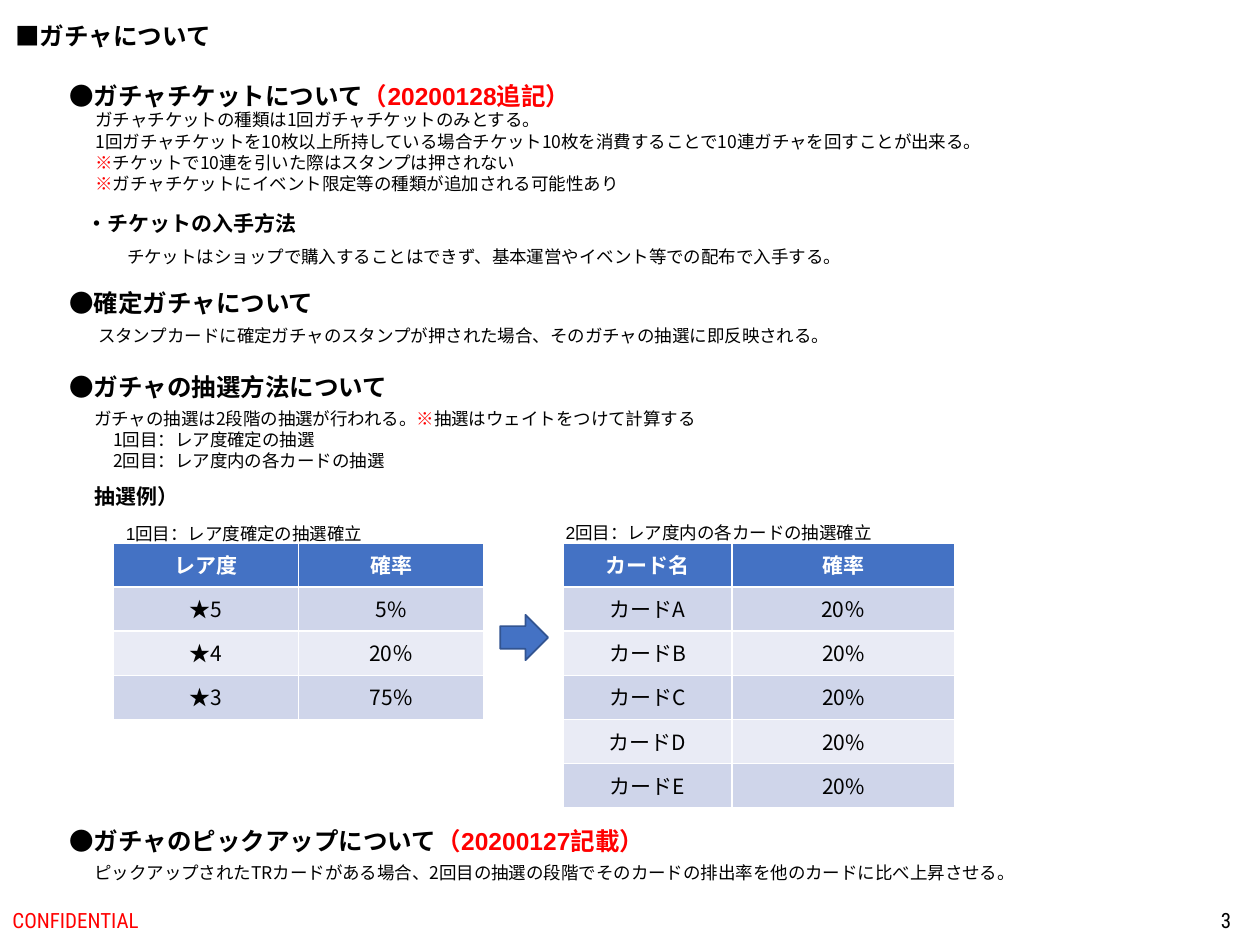
"""Builds a slide on gacha tickets, draw steps and draw odds."""
from lxml import etree
from pptx import Presentation
from pptx.dml.color import RGBColor
from pptx.enum.shapes import MSO_SHAPE
from pptx.enum.text import MSO_ANCHOR, MSO_AUTO_SIZE, PP_ALIGN
from pptx.oxml.ns import qn
from pptx.util import Inches, Pt

ARROW = MSO_SHAPE.RIGHT_ARROW
TOP, MIDDLE = MSO_ANCHOR.TOP, MSO_ANCHOR.MIDDLE
FIT = MSO_AUTO_SIZE.SHAPE_TO_FIT_TEXT
LEFT, CENTER, RIGHT = PP_ALIGN.LEFT, PP_ALIGN.CENTER, PP_ALIGN.RIGHT

BLACK = RGBColor(0x00, 0x00, 0x00)
WHITE = RGBColor(0xFF, 0xFF, 0xFF)
RED = RGBColor(0xFF, 0x00, 0x00)
BLUE = RGBColor(0x44, 0x72, 0xC4)
NAVY = RGBColor(0x32, 0x54, 0x91)
DARK = RGBColor(0xCF, 0xD5, 0xEA)
PALE = RGBColor(0xE9, 0xEB, 0xF5)

SANS, NOTO, THIN = "Arial", "Noto Sans CJK JP", "Roboto Condensed"
HEAD = {"size": Pt(14), "bold": True, "name": SANS}
SUB = {"size": Pt(12), "bold": True, "name": SANS}
BODY = {"size": Pt(10), "bold": False, "name": SANS}
NOTE = {**BODY, "name": NOTO}
FOOT = {"size": Pt(12), "bold": False, "name": THIN}
CELL = {"size": Pt(12), "bold": False, "name": NOTO}
ROW = 0.35


class Page:
    """Holds the slide and draws each kind of element in one style."""

    def __init__(self, slide):
        self.slide = slide

    def fill_para(self, para, runs, style, color=BLACK, align=LEFT):
        para.alignment = align
        for part in [runs] if isinstance(runs, str) else runs:
            text, tint = (part, color) if isinstance(part, str) else part
            run = para.add_run()
            run.text = text
            for key, value in style.items():
                setattr(run.font, key, value)
            run.font.color.rgb = tint
            face = etree.SubElement(run.font._element, qn("a:ea"))
            face.set("typeface", NOTO)

    def title(self, text, box):
        shape = self.slide.shapes.title
        for key, value in zip(("left", "top", "width", "height"), box):
            setattr(shape, key, Inches(value))
        frame = shape.text_frame
        frame.word_wrap, frame.auto_size = False, FIT
        frame.vertical_anchor = TOP
        self.fill_para(frame.paragraphs[0], text, HEAD)

    def text(self, box, lines, style, color=BLACK, align=LEFT,
             wrap=False, anchor=TOP, indent=0):
        shape = self.slide.shapes.add_textbox(*map(Inches, box))
        frame = shape.text_frame
        frame.word_wrap, frame.vertical_anchor = wrap, anchor
        if anchor == TOP:
            frame.auto_size = FIT
        for i, runs in enumerate(lines):
            para = frame.add_paragraph() if i else frame.paragraphs[0]
            if i and indent:
                para._p.get_or_add_pPr().set("marL", str(Inches(indent)))
            self.fill_para(para, runs, style, color, align)

    def table(self, left, top, widths, rows):
        box = (left, top, sum(widths), ROW * len(rows))
        grid = self.slide.shapes.add_table(
            len(rows), len(widths), *map(Inches, box)).table
        for col, width in zip(grid.columns, widths):
            col.width = Inches(width)
        for i, row in enumerate(rows):
            grid.rows[i].height = Inches(ROW)
            fill = (DARK if i % 2 else PALE) if i else BLUE
            style = {**CELL, "bold": i == 0}
            for j, text in enumerate(row):
                cell = grid.cell(i, j)
                cell.fill.solid()
                cell.fill.fore_color.rgb = fill
                self.fill_para(cell.text_frame.paragraphs[0], text, style,
                               BLACK if i else WHITE, CENTER)

    def arrow(self, box):
        shape = self.slide.shapes.add_shape(ARROW, *map(Inches, box))
        shape.shadow.inherit = False
        shape.fill.solid()
        shape.fill.fore_color.rgb = BLUE
        shape.line.color.rgb = NAVY
        shape.line.width = Pt(1)


def main():
    deck = Presentation()
    deck.slide_width, deck.slide_height = Inches(10), Inches(7.5)
    page = Page(deck.slides.add_slide(deck.slide_layouts[5]))
    page.title("■ガチャについて", (0.02, 0.12, 1.77, 0.34))

    heads = [
        (0.59, 4.41, ["●ガチャチケットについて", ("（20200128追記）", RED)]),
        (2.24, 2.17, "●確定ガチャについて"),
        (2.9, 2.75, "●ガチャの抽選方法について"),
        (6.51, 5.19, ["●ガチャのピックアップについて", ("（20200127記載）", RED)]),
    ]
    for top, width, runs in heads:
        page.text((0.45, top, width, 0.34), [runs], HEAD)

    mark = ("※", RED)
    page.text((0.66, 0.82, 7.41, 0.77), [
        "ガチャチケットの種類は1回ガチャチケットのみとする。",
        "1回ガチャチケットを10枚以上所持している場合チケット10枚を消費することで10連ガチャを回すことが出来る。",
        [mark, "チケットで10連を引いた際はスタンプは押されない"],
        [mark, "ガチャチケットにイベント限定等の種類が追加される可能性あり"],
    ], NOTE)
    page.text((0.65, 3.19, 8.59, 0.61), [
        ["ガチャの抽選は2段階の抽選が行われる。", mark, "抽選はウェイトをつけて計算する"],
        "1回目：レア度確定の抽選",
        "2回目：レア度内の各カードの抽選",
    ], NOTE, wrap=True, indent=0.15)
    page.text((0.65, 6.79, 8.59, 0.44), [
        "ピックアップされたTRカードがある場合、2回目の抽選の段階でそのカードの排出率を他のカードに比べ上昇させる。",
    ], NOTE, wrap=True)

    lines = [
        ((0.59, 1.62, 1.88, 0.3), SUB, "・チケットの入手方法"),
        ((0.91, 1.9, 5.95, 0.27), BODY,
         "チケットはショップで購入することはできず、基本運営やイベント等での配布で入手する。"),
        ((0.68, 2.53, 6.09, 0.44), BODY,
         "スタンプカードに確定ガチャのスタンプが押された場合、そのガチャの抽選に即反映される。"),
        ((0.65, 3.79, 0.88, 0.3), SUB, "抽選例）"),
        ((0.9, 4.1, 2.11, 0.27), BODY, "1回目：レア度確定の抽選確立"),
        ((4.39, 4.09, 2.67, 0.27), BODY, "2回目：レア度内の各カードの抽選確立"),
    ]
    for box, style, text in lines:
        page.text(box, [text], style)

    page.table(0.9, 4.31, (1.47, 1.47), [
        ("レア度", "確率"), ("★5", "5%"), ("★4", "20％"), ("★3", "75%")])
    page.arrow((3.97, 4.88, 0.38, 0.36))
    page.table(4.47, 4.31, (1.34, 1.77), [
        ("カード名", "確率"), ("カードA", "20％"),
        *((f"カード{name}", "20%") for name in "BCDE")])

    page.text((0, 7.1, 3.38, 0.4), ["CONFIDENTIAL"], FOOT, RED,
              wrap=True, anchor=MIDDLE)
    page.text((7.62, 7.1, 2.25, 0.4), ["3"], FOOT, align=RIGHT,
              wrap=True, anchor=MIDDLE)
    deck.save("out.pptx")


if __name__ == "__main__":
    main()
